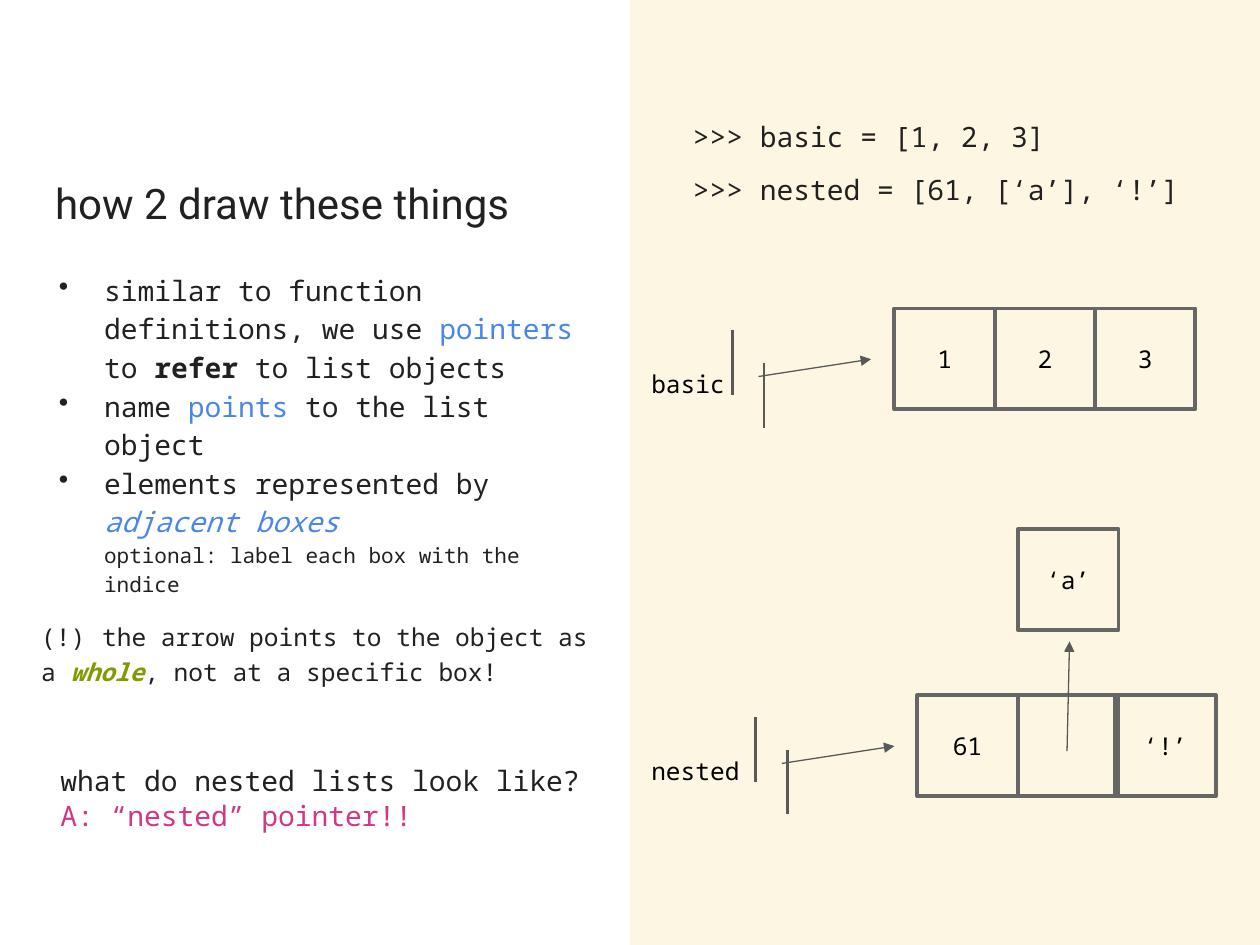
"""Build a slide on drawing list objects with boxes and pointers."""
from lxml import etree
from pptx import Presentation
from pptx.dml.color import RGBColor
from pptx.enum.shapes import MSO_CONNECTOR, MSO_SHAPE
from pptx.enum.text import MSO_ANCHOR, MSO_AUTO_SIZE, PP_ALIGN
from pptx.oxml.ns import qn
from pptx.util import Cm, Pt

STRAIGHT = MSO_CONNECTOR.STRAIGHT
RECTANGLE = MSO_SHAPE.RECTANGLE
TOP, MIDDLE, BOTTOM = MSO_ANCHOR.TOP, MSO_ANCHOR.MIDDLE, MSO_ANCHOR.BOTTOM
NO_AUTOFIT = MSO_AUTO_SIZE.NONE
LEFT, CENTER = PP_ALIGN.LEFT, PP_ALIGN.CENTER
TITLE_ONLY = 5

INK, BLACK, BLUE = "212121", "000000", "4A86E8"
GREEN, PINK, CREAM = "859900", "D33682", "FDF6E3"
BOX_LINE, POINTER_LINE = "666666", "595959"
MONO, SANS = "Noto Sans Mono", "Roboto"
BOX_SIZE = 2.03


def color(value):
    return RGBColor.from_string(value)


def add_text(paragraph, text, size=16, font=MONO, fill=INK, bold=False, italic=False):
    run = paragraph.add_run()
    run.text = text
    run.font.size = Pt(size)
    run.font.name = font
    run.font.color.rgb = color(fill)
    run.font.bold = bold
    run.font.italic = italic


def add_bullet(paragraph):
    properties = paragraph._p.get_or_add_pPr()
    properties.set("marL", str(Cm(1.27)))
    properties.set("indent", str(Cm(-0.91)))
    bullet_color = etree.SubElement(properties, qn("a:buClr"))
    etree.SubElement(bullet_color, qn("a:srgbClr"), val=INK)
    etree.SubElement(properties, qn("a:buChar"), char="•")


class SlideBuilder:
    def __init__(self, slide):
        self.slide = slide

    def frame(self, shape, anchor=TOP):
        frame = shape.text_frame
        frame.word_wrap = True
        frame.auto_size = NO_AUTOFIT
        frame.vertical_anchor = anchor
        frame.margin_left = frame.margin_right = Cm(0.25)
        frame.margin_top = frame.margin_bottom = Cm(0.25)
        return frame

    def title(self, text, left, top, width, height):
        title = self.slide.shapes.title
        title.left, title.top = Cm(left), Cm(top)
        title.width, title.height = Cm(width), Cm(height)
        paragraph = self.frame(title, BOTTOM).paragraphs[0]
        paragraph.alignment = LEFT
        add_text(paragraph, text, size=24, font=SANS)

    def text_box(self, left, top, width, height=1.07):
        shape = self.slide.shapes.add_textbox(Cm(left), Cm(top), Cm(width), Cm(height))
        return self.frame(shape)

    def text_line(self, text, left, top, width, spacing=1.15, **style):
        paragraph = self.text_box(left, top, width).paragraphs[0]
        paragraph.line_spacing = spacing
        add_text(paragraph, text, **style)

    def rectangle(self, left, top, width, height):
        shape = self.slide.shapes.add_shape(
            RECTANGLE, Cm(left), Cm(top), Cm(width), Cm(height))
        shape.shadow.inherit = False
        return shape

    def panel(self, left, top, width, height, fill):
        shape = self.rectangle(left, top, width, height)
        shape.fill.solid()
        shape.fill.fore_color.rgb = color(fill)
        shape.line.fill.background()

    def element_box(self, text, left, top):
        shape = self.rectangle(left, top, BOX_SIZE, BOX_SIZE)
        shape.fill.background()
        shape.line.color.rgb = color(BOX_LINE)
        shape.line.width = Pt(2.25)
        if text:
            paragraph = self.frame(shape, MIDDLE).paragraphs[0]
            paragraph.alignment = CENTER
            add_text(paragraph, text, size=14, fill=BLACK)

    def line(self, x1, y1, x2, y2, width=1.5, arrow=False):
        connector = self.slide.shapes.add_connector(
            STRAIGHT, Cm(x1), Cm(y1), Cm(x2), Cm(y2))
        connector.line.color.rgb = color(POINTER_LINE)
        connector.line.width = Pt(width)
        if arrow:
            etree.SubElement(connector.line._get_or_add_ln(), qn("a:tailEnd"), type="triangle")
        etree.SubElement(connector._element.spPr, qn("a:effectLst"))

    def arrow(self, x1, y1, x2, y2):
        self.line(x1, y1, x2, y2, width=0.75, arrow=True)

    def pointer(self, name, width, dx, dy):
        self.text_line(name, 12.88, 7.19 + dy, width, spacing=1.0, size=14, fill=BLACK)
        self.line(14.76 + dx, 6.65 + dy, 14.76 + dx, 7.96 + dy)
        self.line(15.4 + dx, 7.31 + dy, 15.4 + dx, 8.62 + dy)
        self.arrow(15.29 + dx, 7.59 + dy, 17.56 + dx, 7.24 + dy)

    def explanation(self, bullets, note, left, top, width, height):
        frame = self.text_box(left, top, width, height)
        for index, runs in enumerate(bullets + [note]):
            paragraph = frame.paragraphs[0] if index == 0 else frame.add_paragraph()
            paragraph.line_spacing = 1.15
            if runs is note:
                paragraph.space_before = Pt(10)
            else:
                add_bullet(paragraph)
            for text, style in runs:
                if text == "\n":
                    paragraph.add_line_break()
                else:
                    add_text(paragraph, text, **style)


def main():
    presentation = Presentation()
    presentation.slide_width, presentation.slide_height = Cm(25.4), Cm(19.05)
    layout = presentation.slide_layouts[TITLE_ONLY]
    builder = SlideBuilder(presentation.slides.add_slide(layout))

    builder.panel(12.7, 0, 12.7, 19.05, CREAM)
    builder.title("how 2 draw these things", 0.86, 2.06, 10.67, 2.79)
    bullets = [
        [("similar to function definitions, we use ", {}), ("pointers ", {"fill": BLUE}),
         ("to ", {}), ("refer", {"bold": True}), (" to list objects", {})],
        [("name ", {}), ("points", {"fill": BLUE}), (" to the list object", {})],
        [("elements represented by ", {}),
         ("adjacent boxes", {"fill": BLUE, "italic": True}), ("\n", {}),
         ("optional: label each box with the indice", {"size": 12})],
    ]
    note = [
        ("(!)", {"size": 14}), (" ", {}),
        ("the arrow points to the object as a ", {"size": 14}),
        ("whole", {"size": 14, "fill": GREEN, "bold": True, "italic": True}),
        (", not at a specific box!", {"size": 14}),
    ]
    builder.explanation(bullets, note, 0.58, 5.16, 11.63, 9.3)
    builder.text_line("what do nested lists look like?", 0.97, 15.04, 11.53)
    builder.text_line("A: “nested” pointer!!", 0.97, 15.85, 11.53, spacing=1.0, fill=PINK)
    builder.text_line(">>> basic = [1, 2, 3]", 13.72, 2.06, 10.67)
    builder.text_line(">>> nested = [61, [‘a’], ‘!’]", 13.72, 3.12, 10.67)

    builder.pointer("basic", 2.03, dx=0, dy=0)
    for index, value in enumerate(["1", "2", "3"]):
        builder.element_box(value, 18.03 + index * 2.02, 6.22)

    builder.pointer("nested", 2.49, dx=0.47, dy=7.8)
    for value, left in [("61", 18.49), ("", 20.52), ("‘!’", 22.48)]:
        builder.element_box(value, left, 14.02)
    builder.element_box("‘a’", 20.52, 10.67)
    builder.arrow(21.51, 15.14, 21.56, 12.93)

    presentation.save("out.pptx")


if __name__ == "__main__":
    main()
